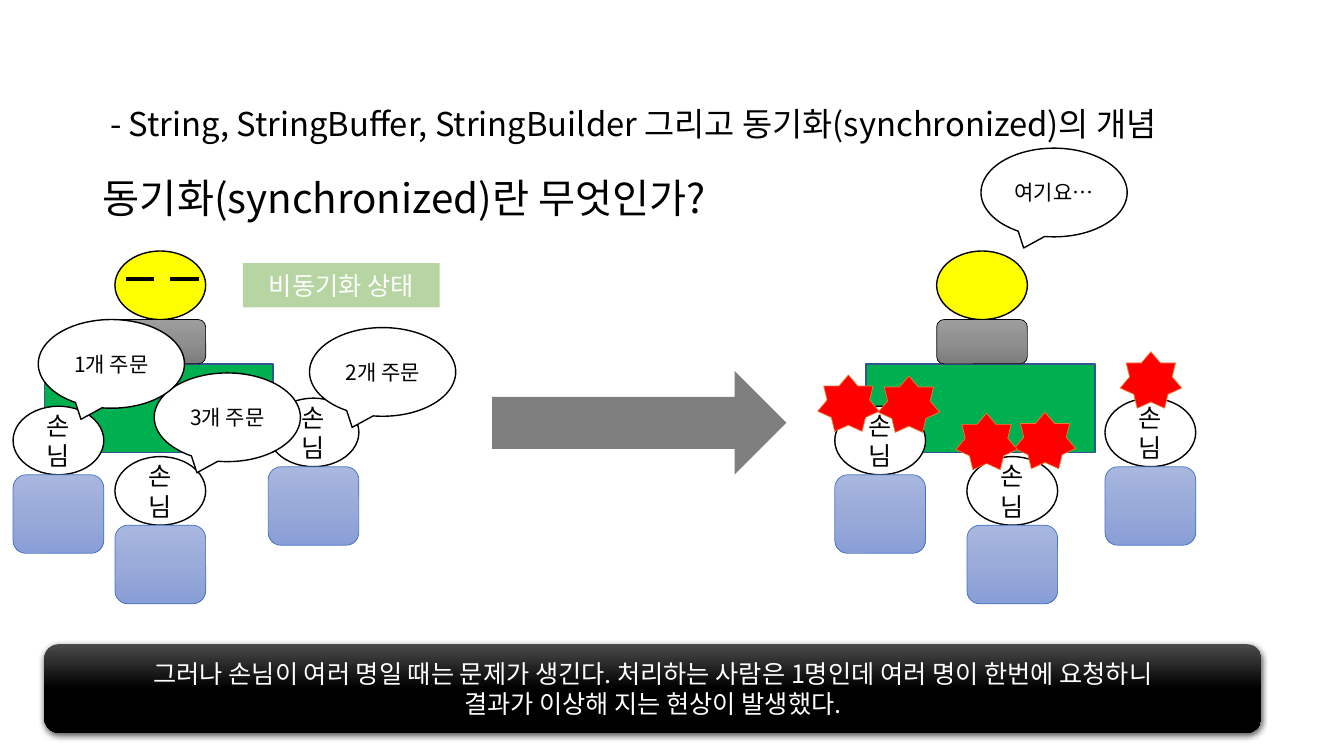
import copy

import pptx
import pptx.dml.color
import pptx.enum.shapes
import pptx.enum.text
import pptx.oxml
import pptx.oxml.ns
import pptx.util
from lxml import etree

Inches = pptx.util.Inches
Pt = pptx.util.Pt
qn = pptx.oxml.ns.qn
KIND = pptx.enum.shapes.MSO_SHAPE
ALIGN = pptx.enum.text.PP_ALIGN
ANCHOR = pptx.enum.text.MSO_ANCHOR
FONT = "Noto Sans CJK KR"
HEAD_WIDTH, HEAD_HEIGHT = 0.9, 0.68
BANNER_SHADES = ("4B4B4B", "000000", "000000")
WORKER_SHADES = ("9D9D9D", "909090", "7C7C7C")
GUEST_SHADES = ("A8B7DF", "9AABD9", "889ED7")


def color(code):
    """Turn a hex string into a colour."""
    return pptx.dml.color.RGBColor.from_string(code)


def add_span(para, text, size, code):
    """Add one formatted run to a paragraph."""
    span = para.add_run()
    span.text = text
    span.font.size = Pt(size)
    span.font.color.rgb = color(code)
    span.font.name = FONT
    etree.SubElement(span.font._element, qn("a:ea"), typeface=FONT)


def fill_gradient(shape, shades):
    """Fill a shape from top to bottom with three shades."""
    shape.fill.gradient()
    shape.fill.gradient_angle = 270
    stops = shape._element.spPr.find(".//" + qn("a:gsLst"))
    stops.append(copy.deepcopy(stops[-1]))
    for stop, shade, position in zip(shape.fill.gradient_stops, shades, (0, 0.5, 1)):
        stop.color.rgb = color(shade)
        stop.position = position


def add_figure(page, kind, box, fill, line=None, width=1.0, alpha=None):
    """Add a preset shape with a solid or graded fill."""
    shape = page.shapes.add_shape(kind, *(Inches(length) for length in box))
    shape.shadow.inherit = False
    if isinstance(fill, tuple):
        fill_gradient(shape, fill)
    else:
        shape.fill.solid()
        shape.fill.fore_color.rgb = color(fill)
    if alpha:
        tone = shape._element.spPr.find(".//" + qn("a:srgbClr"))
        etree.SubElement(tone, qn("a:alpha"), val=str(alpha * 1000))
    if line:
        shape.line.color.rgb = color(line)
        shape.line.width = Pt(width)
    else:
        shape.line.fill.background()
    return shape


def add_label(shape, lines, size, code):
    """Write centred lines inside a shape."""
    frame = shape.text_frame
    frame.word_wrap = True
    frame.vertical_anchor = ANCHOR.MIDDLE
    for index, text in enumerate(lines):
        para = frame.add_paragraph() if index else frame.paragraphs[0]
        para.alignment = ALIGN.CENTER
        add_span(para, text, size, code)


def add_title(page, box):
    """Place the topic and the question in the title placeholder."""
    title = page.shapes.title
    title.left, title.top, title.width, title.height = (Inches(length) for length in box)
    frame = title.text_frame
    frame.word_wrap = True
    frame.auto_size = pptx.enum.text.MSO_AUTO_SIZE.NONE
    frame.vertical_anchor = ANCHOR.BOTTOM
    topic, question = frame.paragraphs[0], frame.add_paragraph()
    for para in (topic, question):
        para.alignment = ALIGN.LEFT
        para.line_spacing = 0.9
    question.space_before = Pt(25)
    add_span(topic, " - String, StringBuffer, StringBuilder 그리고 동기화(synchronized)의 개념", 23.4, "000000")
    add_span(question, "동기화(synchronized)란 무엇인가?", 28.8, "000000")


def add_person(page, left, top, face, shades, edge, body_height):
    """Draw a head above a rounded body and return the head."""
    head = add_figure(page, KIND.OVAL, (left, top, HEAD_WIDTH, HEAD_HEIGHT), face, "000000")
    body = (left, top + HEAD_HEIGHT, HEAD_WIDTH, body_height)
    add_figure(page, KIND.ROUNDED_RECTANGLE, body, shades, edge, 0.5)
    return head


def add_counter(page, left, top, guests):
    """Draw a counter, the worker behind it and the guests around it."""
    add_figure(page, KIND.RECTANGLE, (left, top, 2.27, 0.88), "00B050", "325491")
    add_person(page, left + 0.7, top - 1.12, "FFFF00", WORKER_SHADES, "000000", 0.44)
    for across, down in guests:
        head = add_person(page, left + across, top + down, "FFFFFF", GUEST_SHADES, "4472C4", 0.78)
        add_label(head, ["손님"], 18, "000000")


def add_bubble(page, left, top, text):
    """Add a speech bubble."""
    bubble = add_figure(page, KIND.OVAL_CALLOUT, (left, top, 1.45, 0.88), "FFFFFF", "000000")
    add_label(bubble, [text], 15, "000000")


def add_closed_eyes(page, left, top):
    """Draw two closed eyes on a face."""
    for start in (left, left + 0.44):
        ends = (Inches(length) for length in (start, top, start + 0.28, top))
        eye = page.shapes.add_connector(pptx.enum.shapes.MSO_CONNECTOR.STRAIGHT, *ends)
        eye.line.color.rgb = color("000000")
        eye.line.width = Pt(2.5)
        etree.SubElement(eye._element.spPr, qn("a:effectLst"))


def add_calm_scene(page, left, top):
    """Draw the counter where the guests are angry and the worker overwhelmed."""
    add_counter(page, left, top, [(1.0, 0.92), (2.37, 0.34), (-0.31, 0.42)])
    add_bubble(page, left + 1.14, top - 2.14, "여기요…")
    for across, down in [(2.52, -0.12), (1.47, 0.48), (0.89, 0.49), (-0.48, 0.11), (0.12, 0.12)]:
        star = (left + across, top + down, 0.61, 0.56)
        add_figure(page, KIND.STAR_7_POINT, star, "FF0000", "ED7D31", 0.5)


def add_order_scene(page, left, top):
    """Draw the counter where three guests order at once."""
    add_counter(page, left, top, [(0.7, 0.92), (2.22, 0.34), (-0.31, 0.42)])
    add_bubble(page, left + 1.09, top + 0.09, "3개 주문")
    add_bubble(page, left + 2.63, top - 0.36, "2개 주문")
    add_bubble(page, left - 0.06, top - 0.44, "1개 주문")
    add_closed_eyes(page, left + 0.81, top - 0.84)


def add_banner(page, box):
    """Add the shaded conclusion bar with its soft shadow."""
    banner = add_figure(page, KIND.ROUNDED_RECTANGLE, box, BANNER_SHADES)
    effects = banner._element.spPr.find(qn("a:effectLst"))
    shadow = etree.SubElement(
        effects, qn("a:outerShdw"), blurRad=str(Pt(4.5)), dist=str(Pt(1.5)),
        dir="5400000", algn="ctr", rotWithShape="0")
    tone = etree.SubElement(shadow, qn("a:srgbClr"), val="000000")
    etree.SubElement(tone, qn("a:alpha"), val="63000")
    add_label(banner, [
        "그러나 손님이 여러 명일 때는 문제가 생긴다. 처리하는 사람은 1명인데 여러 명이 한번에 요청하니",
        "결과가 이상해 지는 현상이 발생했다.",
    ], 18, "FFFFFF")


def main():
    """Build the slide and save the deck."""
    deck = pptx.Presentation()
    deck.slide_width, deck.slide_height = Inches(13.33), Inches(7.5)
    page = deck.slides.add_slide(deck.slide_layouts.get_by_name("Title Only"))
    add_title(page, (0.92, 0.5, 10.78, 1.75))
    state = add_figure(page, KIND.RECTANGLE, (2.41, 2.61, 1.95, 0.44), "70AD47", alpha=50)
    add_label(state, ["비동기화 상태"], 18, "FFFFFF")
    add_banner(page, (0.44, 6.39, 12.07, 0.88))
    add_figure(page, KIND.RIGHT_ARROW, (4.88, 3.68, 2.92, 1.03), "000000", alpha=50)
    add_calm_scene(page, 8.59, 3.61)
    add_order_scene(page, 0.44, 3.61)
    deck.save("out.pptx")


if __name__ == "__main__":
    main()
